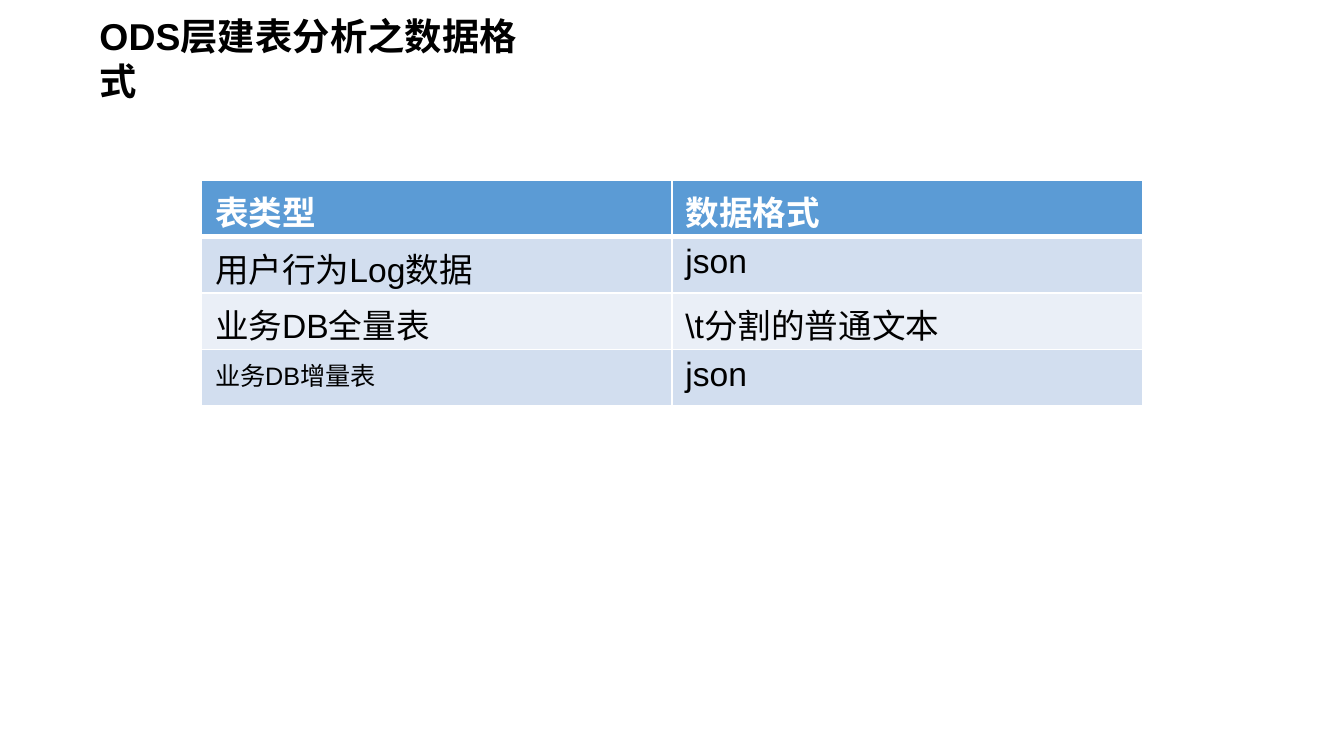
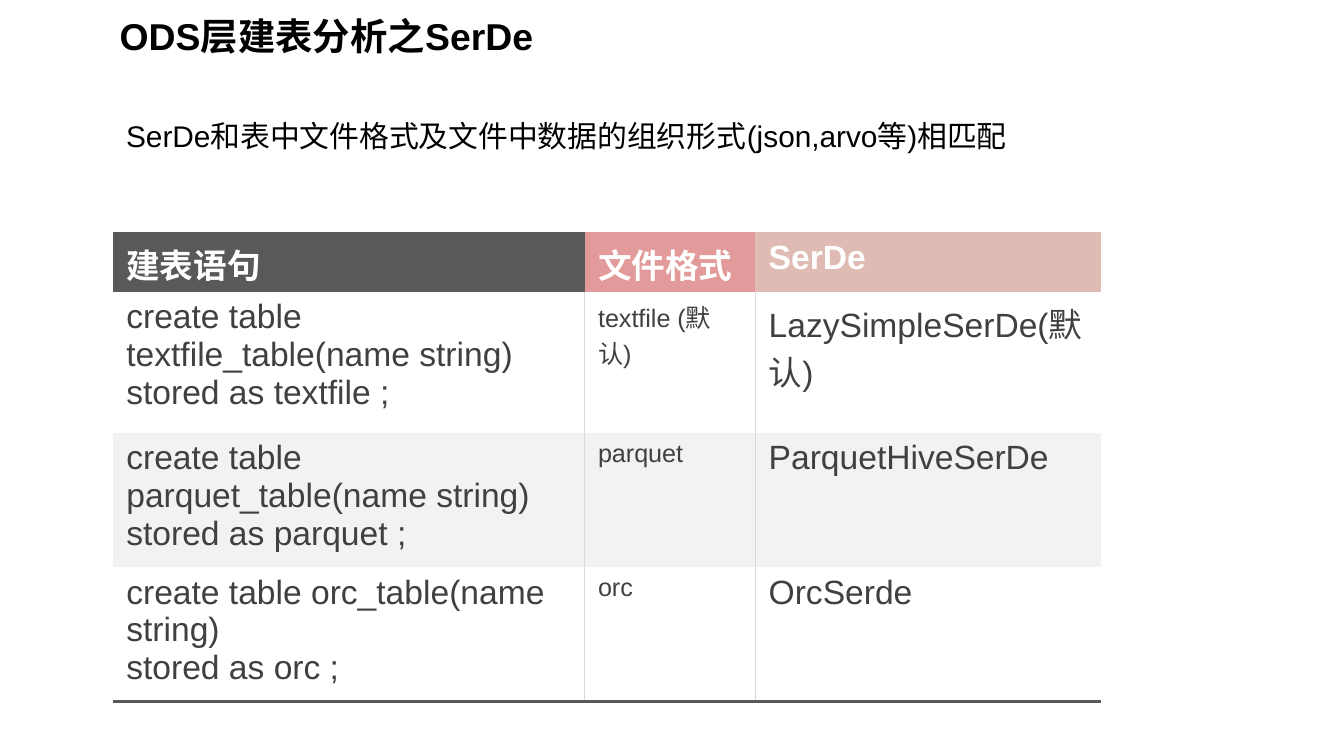
from dataclasses import dataclass

from lxml import etree
from pptx import Presentation
from pptx.dml.color import RGBColor
from pptx.enum.text import MSO_ANCHOR, MSO_AUTO_SIZE, PP_ALIGN
from pptx.oxml.ns import qn
from pptx.util import Inches, Pt

LEFT, TOP, GROW = PP_ALIGN.LEFT, MSO_ANCHOR.TOP, MSO_AUTO_SIZE.SHAPE_TO_FIT_TEXT
TITLE_ONLY = 5
PLAIN_TABLE = "{2D5ABB26-0587-4C30-8999-92F81FD0307C}"


@dataclass(frozen=True)
class Theme:
    font: str = "Arial"
    title: float = 20
    lead: float = 16
    cell: float = 18
    small: float = 13.5
    black: str = "000000"
    white: str = "FFFFFF"
    dark: str = "404040"
    blue: str = "5B9BD5"
    blue_bands: tuple = ("D2DEEF", "EAEFF7")
    headers: tuple = ("595959", "E29A9A", "DFBBB3")
    grey_bands: tuple = ("FFFFFF", "F2F2F2")
    rule: str = "D9D9D9"


T = Theme()

# Content
FORMAT_TITLE = "ODS层建表分析之数据格式"
FORMAT_ROWS = [
    ("表类型", "数据格式"),
    ("用户行为Log数据", "json"),
    ("业务DB全量表", "\\t分割的普通文本"),
    ("业务DB增量表", "json"),
]
SERDE_TITLE = "ODS层建表分析之SerDe"
SERDE_LEAD = "SerDe和表中文件格式及文件中数据的组织形式(json,arvo等)相匹配"
SERDE_ROWS = [
    ("建表语句", "文件格式", "SerDe"),
    ("create table textfile_table(name string)\nstored as textfile ;",
     "textfile (默认)", "LazySimpleSerDe(默认)"),
    ("create table parquet_table(name string)\nstored as parquet ;",
     "parquet", "ParquetHiveSerDe"),
    ("create table orc_table(name string)\nstored as orc ;",
     "orc", "OrcSerde"),
]

# 16:9 page
prs = Presentation()
prs.slide_width = Inches(10)
prs.slide_height = prs.slide_width * 9 // 16


# Helpers
def write(tf, text, size, color=T.black, bold=False):
    for i, line in enumerate(text.split("\n")):
        p = tf.add_paragraph() if i else tf.paragraphs[0]
        p.alignment = LEFT
        r = p.add_run()
        r.text = line
        r.font.name, r.font.size, r.font.bold = T.font, Pt(size), bold
        r.font.color.rgb = RGBColor.from_string(color)


def place(sp, left, top, width, height):
    sp.left, sp.top, sp.width, sp.height = map(Inches, (left, top, width, height))
    tf = sp.text_frame
    tf.word_wrap, tf.auto_size, tf.vertical_anchor = True, GROW, TOP
    return tf


def add_slide(title, left, width):
    s = prs.slides.add_slide(prs.slide_layouts[TITLE_ONLY])
    write(place(s.shapes.title, left, 0.05, width, 0.44), title, T.title, bold=True)
    return s


def set_borders(cell, edges):
    """edges maps L, R, T, B to (colour, points)."""
    pr = cell._tc.get_or_add_tcPr()
    ordered = [e for e in "LRTB" if e in edges]
    for i, edge in enumerate(ordered):
        color, width = edges[edge]
        ln = etree.Element(qn(f"a:ln{edge}"), w=str(Pt(width)))
        fill = etree.SubElement(ln, qn("a:solidFill"))
        etree.SubElement(fill, qn("a:srgbClr"), val=color)
        pr.insert(i, ln)


def add_table(s, rows, box, widths, heights, style):
    """box is left, top, width, height; style(row, col) formats a cell."""
    frame = s.shapes.add_table(len(rows), len(widths), *map(Inches, box))
    table = frame.table
    table.first_row = table.horz_banding = False
    table._tbl.tblPr.find(qn("a:tableStyleId")).text = PLAIN_TABLE
    for col, width in zip(table.columns, widths):
        col.width = Inches(width)
    for row, height in zip(table.rows, heights):
        row.height = Inches(height)
    frame.width, frame.height = map(Inches, box[2:])
    for i, row in enumerate(rows):
        for j, text in enumerate(row):
            cell = table.cell(i, j)
            fill, fmt, edges = style(i, j)
            write(cell.text_frame, text, **fmt)
            cell.fill.solid()
            cell.fill.fore_color.rgb = RGBColor.from_string(fill)
            set_borders(cell, edges)


HEADER = dict(size=T.cell, color=T.white, bold=True)


# Slide 1: data formats
def format_style(i, j):
    edges = {e: (T.white, 1) for e in "LRTB"}
    if i == 0:
        return T.blue, HEADER, edges | {"B": (T.white, 3)}
    if i == 1:
        edges["T"] = (T.white, 3)
    small = (i, j) == (len(FORMAT_ROWS) - 1, 0)
    return T.blue_bands[(i - 1) % 2], dict(size=T.small if small else T.cell), edges


s = add_slide(FORMAT_TITLE, 0.64, 3.58)
add_table(s, FORMAT_ROWS, (1.5, 1.34, 7, 1.67), [3.5] * 2, [0.42] * 4, format_style)


# Slide 2: SerDe
def serde_style(i, j):
    if i == 0:
        return T.headers[j], HEADER, {}
    rules = [(T.rule, 1), (T.rule, 0.5)]
    edges = {}
    if j > 0:
        edges["L"] = rules[j - 1]
    if j < len(rules):
        edges["R"] = rules[j]
    if i == len(SERDE_ROWS) - 1:
        edges["B"] = (T.headers[0], 1.5)
    fmt = dict(size=T.small if j == 1 else T.cell, color=T.dark)
    return T.grey_bands[(i - 1) % 2], fmt, edges


s = add_slide(SERDE_TITLE, 0.79, 5.38)
add_table(s, SERDE_ROWS, (0.84, 1.73, 9.63, 3.47), [3.51, 1.27, 2.57],
          [0.44, 1.05, 0.58, 0.58], serde_style)
lead = s.shapes.add_textbox(0, 0, 0, 0)
write(place(lead, 0.84, 0.83, 9.61, 0.37), SERDE_LEAD, T.lead)

prs.save("out.pptx")
